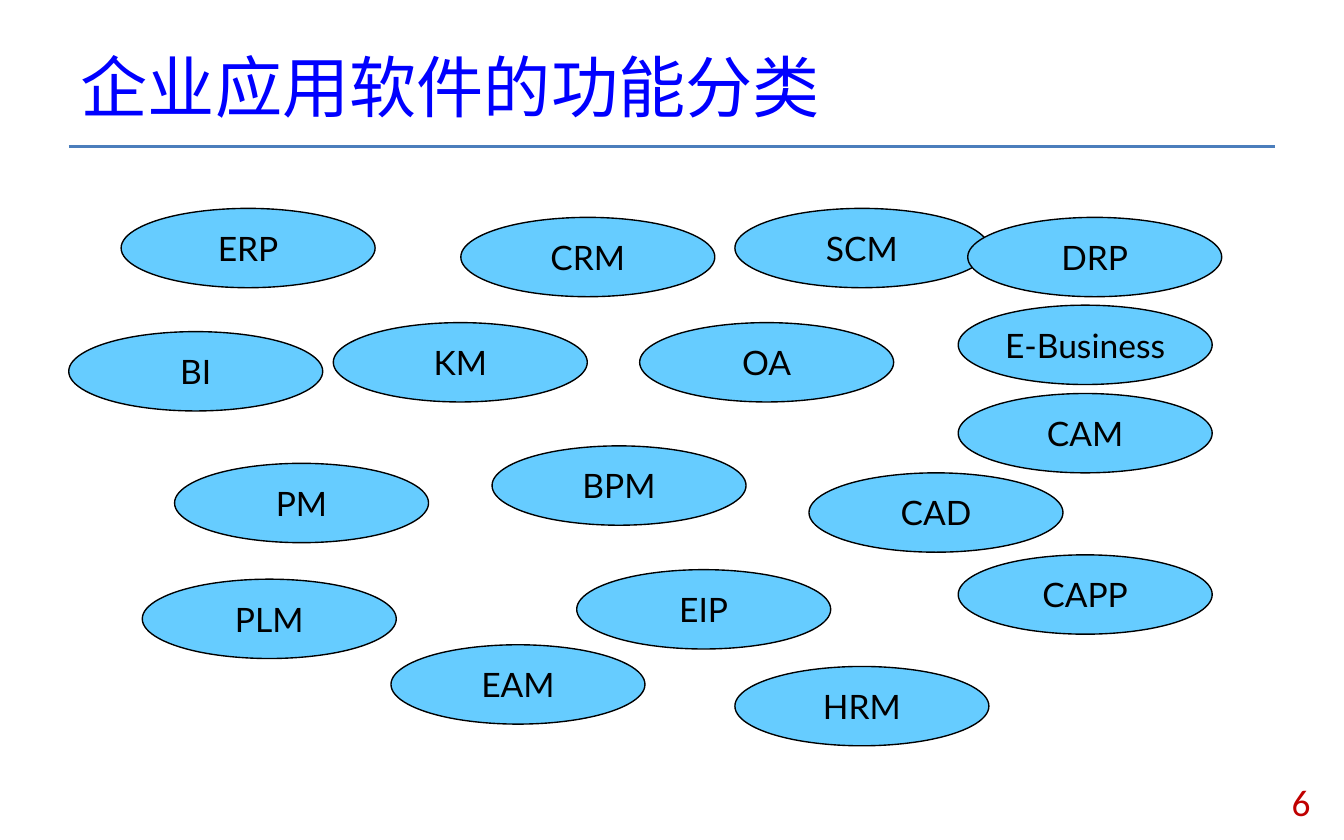
from lxml import etree
from pptx import Presentation
from pptx.dml.color import RGBColor
from pptx.enum.shapes import MSO_CONNECTOR, MSO_SHAPE
from pptx.enum.text import MSO_ANCHOR, PP_ALIGN
from pptx.oxml.ns import qn
from pptx.util import Cm, Pt

OVAL = MSO_SHAPE.OVAL
STRAIGHT = MSO_CONNECTOR.STRAIGHT
MIDDLE = MSO_ANCHOR.MIDDLE
LEFT, CENTER, RIGHT = PP_ALIGN.LEFT, PP_ALIGN.CENTER, PP_ALIGN.RIGHT


def color(code):
    return RGBColor.from_string(code)


class Deck:
    head_font, oval_font, page_font = "Noto Sans CJK SC", "Lato", "Calibri"
    blue, sky, black, red, steel = "0000FF", "66CCFF", "000000", "C00000", "4B7EBC"
    oval_size = Cm(4.8), Cm(1.5)

    def __init__(self, slide):
        self.slide = slide

    def label(self, shape, text, font, size, code, align, wrap=True):
        frame = shape.text_frame
        frame.text = text
        frame.word_wrap = wrap
        frame.vertical_anchor = MIDDLE
        para = frame.paragraphs[0]
        para.alignment = align
        run = para.runs[0]
        run.font.name = font
        run.font.size = Pt(size)
        run.font.color.rgb = color(code)
        return run

    def title(self, text, x, y, w, h):
        shape = self.slide.shapes.title
        shape.left, shape.top, shape.width, shape.height = Cm(x), Cm(y), Cm(w), Cm(h)
        run = self.label(shape, text, self.head_font, 36, self.blue, LEFT)
        # East Asian text takes its own typeface
        east = etree.SubElement(run._r.get_or_add_rPr(), qn("a:ea"))
        east.set("typeface", self.head_font)

    def rule(self, x1, x2, y):
        line = self.slide.shapes.add_connector(STRAIGHT, Cm(x1), Cm(y), Cm(x2), Cm(y))
        line.line.color.rgb = color(self.steel)
        line.line.width = Pt(2)
        etree.SubElement(line._element.spPr, qn("a:effectLst"))

    def oval(self, text, x, y):
        shape = self.slide.shapes.add_shape(OVAL, Cm(x), Cm(y), *self.oval_size)
        shape.shadow.inherit = False
        shape.fill.solid()
        shape.fill.fore_color.rgb = color(self.sky)
        shape.line.color.rgb = color(self.black)
        shape.line.width = Pt(0.75)
        self.label(shape, text, self.oval_font, 18, self.black, CENTER, wrap=False)

    def page(self, text, x, y, w, h):
        box = self.slide.shapes.add_textbox(Cm(x), Cm(y), Cm(w), Cm(h))
        self.label(box, text, self.page_font, 20, self.red, RIGHT)


# Software kinds with the left and top of each oval, back to front
KINDS = [
    ("ERP", 2.29, 3.94),
    ("CRM", 8.71, 4.11),
    ("SCM", 13.89, 3.94),
    ("E-Business", 18.11, 5.77),
    ("CAD", 15.29, 8.94),
    ("CAM", 18.11, 7.44),
    ("CAPP", 18.11, 10.49),
    ("PM", 3.3, 8.76),
    ("OA", 12.09, 6.1),
    ("KM", 6.3, 6.1),
    ("BPM", 9.3, 8.43),
    ("BI", 1.3, 6.27),
    ("EIP", 10.9, 10.77),
    ("PLM", 2.69, 10.95),
    ("EAM", 7.39, 12.19),
    ("HRM", 13.89, 12.6),
    ("DRP", 18.29, 4.11),
]


def main():
    prs = Presentation()
    prs.slide_width, prs.slide_height = Cm(25.4), Cm(15.88)
    deck = Deck(prs.slides.add_slide(prs.slide_layouts[5]))

    # Heading
    deck.title("企业应用软件的功能分类", 1.27, 0.64, 22.86, 1.96)
    deck.rule(1.3, 24.1, 2.77)

    # Cloud of software kinds
    for name, x, y in KINDS:
        deck.oval(name, x, y)

    # Page number
    deck.page("6", 19.1, 14.73, 5.92, 0.84)

    prs.save("out.pptx")


if __name__ == "__main__":
    main()
